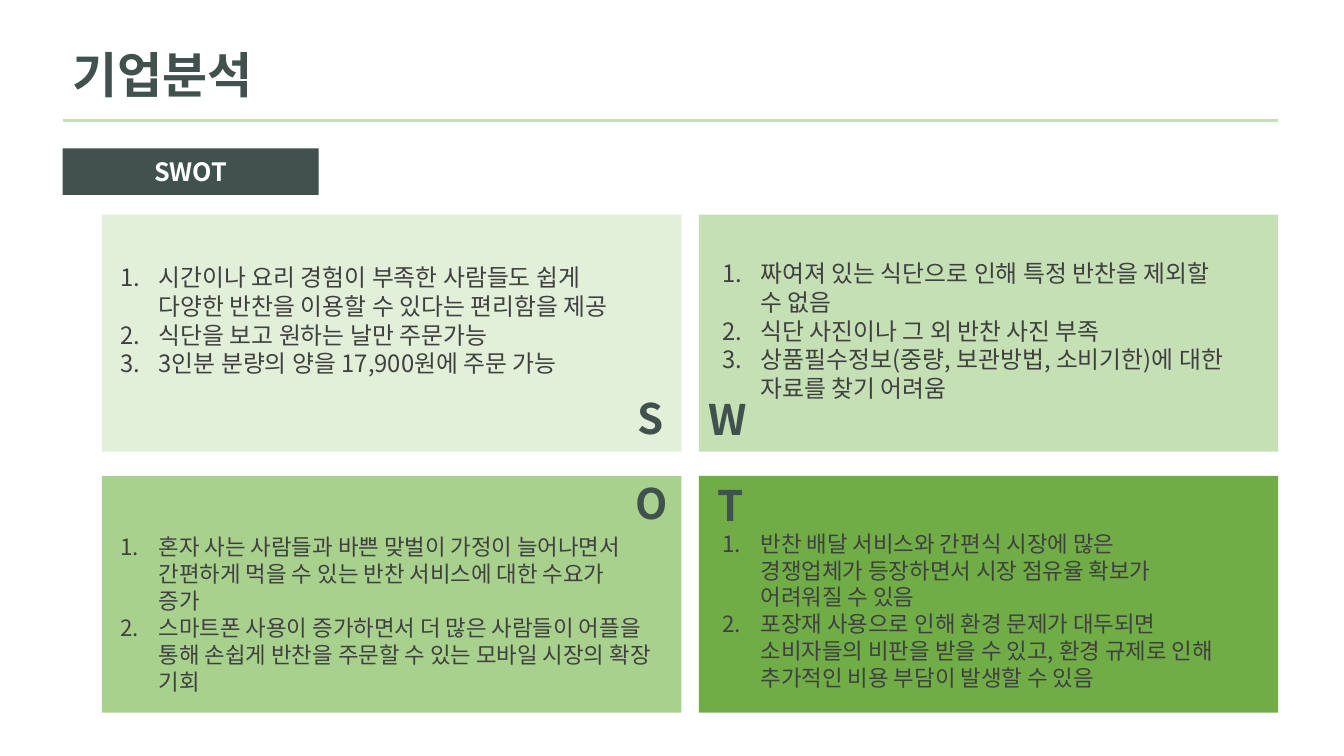
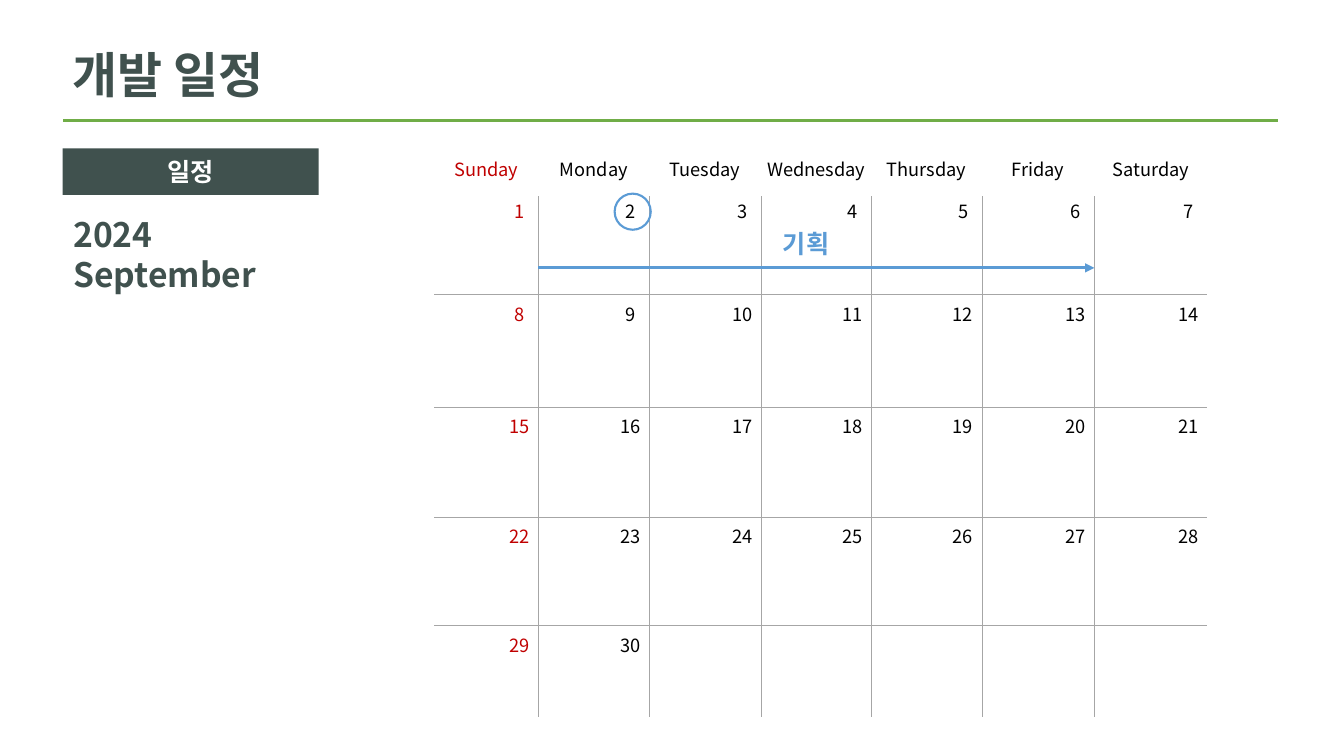
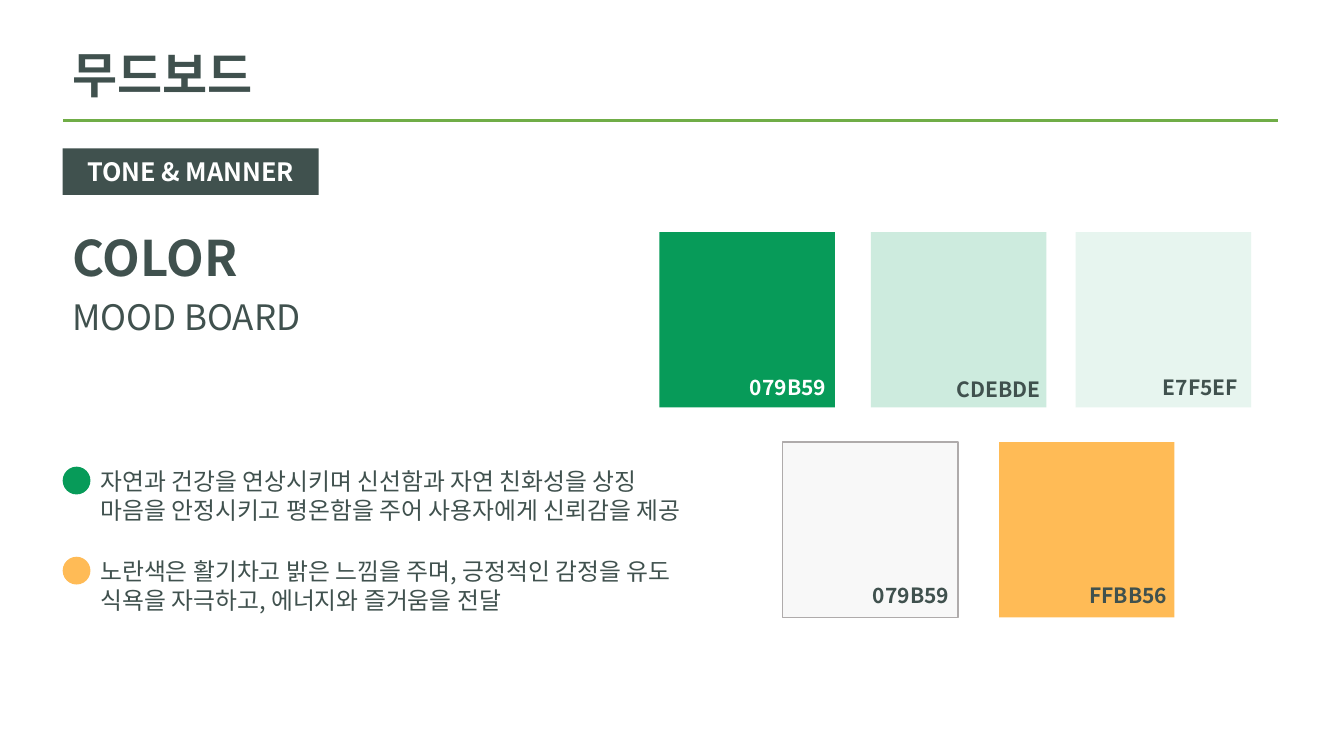
import copy
import dataclasses
import itertools

import lxml.etree
import pptx
import pptx.dml.color
import pptx.enum.shapes
import pptx.enum.text
import pptx.oxml.ns
import pptx.util

Cm = pptx.util.Cm
Pt = pptx.util.Pt
qn = pptx.oxml.ns.qn
Align = pptx.enum.text.PP_ALIGN
Anchor = pptx.enum.text.MSO_ANCHOR
Shape = pptx.enum.shapes.MSO_SHAPE


@dataclasses.dataclass(frozen=True)
class Theme:
    font: str = "Noto Sans CJK KR"
    dark: str = "40514E"
    body: str = "404040"
    white: str = "FFFFFF"
    black: str = "000000"
    sunday: str = "C00000"
    grid: str = "A6A6A6"
    plan: str = "5B9BD5"
    swatch_edge: str = "AFABAB"
    green: str = "70AD47"
    pale_green: str = "C5E0B4"
    mint: str = "079B59"
    amber: str = "FFBB56"
    title_size: float = 35
    letter_size: float = 30
    subtitle_size: float = 25
    month_size: float = 24
    badge_size: float = 18
    text_size: float = 17
    small_text_size: float = 16
    code_size: float = 15
    day_size: float = 13


THEME = Theme()
LEFT_EDGE = 1.57


@dataclasses.dataclass(frozen=True)
class Box:
    """A region in centimetres."""
    left: float
    top: float
    width: float
    height: float

    def inner(self, left, top, width, height):
        return Box(self.left + left, self.top + top, width, height)

    def lengths(self):
        return Cm(self.left), Cm(self.top), Cm(self.width), Cm(self.height)


# Shared helpers

def rgb(color):
    return pptx.dml.color.RGBColor.from_string(color)


def place(shape, box):
    shape.left, shape.top, shape.width, shape.height = box.lengths()


def set_insets(target, left, top, right, bottom):
    target.margin_left, target.margin_top = Cm(left), Cm(top)
    target.margin_right, target.margin_bottom = Cm(right), Cm(bottom)


def set_text(frame, text, size, color, bold=False, align=Align.LEFT):
    """Fill a text frame and format every run and line break."""
    frame.text = text
    frame.word_wrap = True
    for para in frame.paragraphs:
        para.alignment = align
        para.space_before = Pt(0)
        for span in para.runs:
            span.font.name = THEME.font
            span.font.size = Pt(size)
            span.font.bold = bold
            span.font.color.rgb = rgb(color)
            span._r.rPr.set("kern", "0")
            east_asian = lxml.etree.Element(qn("a:ea"), typeface=THEME.font)
            span._r.rPr.find(qn("a:latin")).addnext(east_asian)
        for line_break in para._p.findall(qn("a:br")):
            line_break.append(copy.deepcopy(para.runs[0]._r.rPr))


def set_list(frame, text, size, color, numbered):
    """Fill a body placeholder with numbered or plain paragraphs."""
    frame.auto_size = pptx.enum.text.MSO_AUTO_SIZE.NONE
    frame.vertical_anchor = Anchor.TOP
    set_text(frame, text, size, color)
    hanging = Cm(0.97) if numbered else 0
    for para in frame.paragraphs:
        properties = para._p.get_or_add_pPr()
        properties.set("marL", str(hanging))
        properties.set("indent", str(-hanging))
        if numbered:
            lxml.etree.SubElement(properties, qn("a:buFont"), typeface=THEME.font)
            lxml.etree.SubElement(properties, qn("a:buAutoNum"), type="arabicPeriod")
        else:
            lxml.etree.SubElement(properties, qn("a:buNone"))


def add_label(page, box, text, size, color, bold=False):
    label = page.shapes.add_textbox(*box.lengths())
    set_text(label.text_frame, text, size, color, bold)


def add_figure(page, kind, box, fill=None, line=None, line_width=1):
    figure = page.shapes.add_shape(kind, *box.lengths())
    figure.shadow.inherit = False
    if fill:
        figure.fill.solid()
        figure.fill.fore_color.rgb = rgb(fill)
    else:
        figure.fill.background()
    if line:
        figure.line.color.rgb = rgb(line)
        figure.line.width = Pt(line_width)
    else:
        figure.line.fill.background()
    return figure


def add_line(page, start, end, color, width, arrow=False):
    line = page.shapes.add_connector(
        pptx.enum.shapes.MSO_CONNECTOR.STRAIGHT, *map(Cm, start + end))
    line.line.color.rgb = rgb(color)
    line.line.width = Pt(width)
    if arrow:
        lxml.etree.SubElement(line.line._get_or_add_ln(), qn("a:tailEnd"), type="triangle")
    lxml.etree.SubElement(line._element.spPr, qn("a:effectLst"))


def start_page(deck, layout, title, badge, rule_color=THEME.green):
    """Add a page with its title, rule and section badge."""
    page = deck.slides.add_slide(deck.slide_layouts.get_by_name(layout))
    heading = page.shapes.title
    place(heading, Box(LEFT_EDGE, 1, 15.6, 1.75))
    heading.text_frame.auto_size = pptx.enum.text.MSO_AUTO_SIZE.NONE
    heading.text_frame.vertical_anchor = Anchor.TOP
    set_text(heading.text_frame, title, THEME.title_size, THEME.dark, True)
    add_line(page, (LEFT_EDGE + 0.02, 3.04), (32.2, 3.04), rule_color, 2)
    plate = add_figure(page, Shape.RECTANGLE, Box(LEFT_EDGE + 0.01, 3.74, 6.45, 1.17),
                       THEME.dark)
    plate.text_frame.vertical_anchor = Anchor.MIDDLE
    set_text(plate.text_frame, badge, THEME.badge_size, THEME.white, True, Align.CENTER)
    return page


# SWOT page

@dataclasses.dataclass(frozen=True)
class Quadrant:
    letter: str
    fill: str
    size: float
    insets: tuple
    letter_at: tuple
    items: str


QUADRANTS = [
    Quadrant("S", "E2F0D9", THEME.text_size, (0.46, 1.22, 0.3, 0), (13.25, 4.35),
             "시간이나 요리 경험이 부족한 사람들도 쉽게\v다양한 반찬을 이용할 수 있다는 편리함을 제공\n"
             "식단을 보고 원하는 날만 주문가능\n"
             "3인분 분량의 양을 17,900원에 주문 가능"),
    Quadrant("W", THEME.pale_green, THEME.text_size, (0.59, 1.12, 0.3, 0), (0, 4.37),
             "짜여져 있는 식단으로 인해 특정 반찬을 제외할\v수 없음\n"
             "식단 사진이나 그 외 반찬 사진 부족\n"
             "상품필수정보(중량, 보관방법, 소비기한)에 대한 자료를 찾기 어려움"),
    Quadrant("O", "A9D18E", THEME.small_text_size, (0.46, 1.45, 0.46, 0), (13.2, -0.08),
             "혼자 사는 사람들과 바쁜 맞벌이 가정이 늘어나면서 "
             "간편하게 먹을 수 있는 반찬 서비스에 대한 수요가\v증가\n"
             "스마트폰 사용이 증가하면서 더 많은 사람들이 어플을\v"
             "통해 손쉽게 반찬을 주문할 수 있는 모바일 시장의 확장 기회"),
    Quadrant("T", THEME.green, THEME.small_text_size, (0.59, 1.36, 0, 0), (0.23, -0.03),
             "반찬 배달 서비스와 간편식 시장에 많은\v"
             "경쟁업체가 등장하면서 시장 점유율 확보가\v어려워질 수 있음\n"
             "포장재 사용으로 인해 환경 문제가 대두되면\v"
             "소비자들의 비판을 받을 수 있고, 환경 규제로 인해 "
             "추가적인 비용 부담이 발생할 수 있음"),
]


def fill_quadrant(page, body, box, quadrant):
    place(body, box)
    body.fill.solid()
    body.fill.fore_color.rgb = rgb(quadrant.fill)
    set_insets(body.text_frame, *quadrant.insets)
    set_list(body.text_frame, quadrant.items, quadrant.size, THEME.body, True)
    add_label(page, box.inner(*quadrant.letter_at, 1.32, 1.55),
              quadrant.letter, THEME.letter_size, THEME.dark, True)


def build_swot_page(deck):
    page = start_page(deck, "Comparison", "기업분석", "SWOT", THEME.pale_green)
    area = Box(2.57, 5.41, 29.64, 12.55)
    gap_x, gap_y = 0.44, 0.61
    width, height = (area.width - gap_x) / 2, (area.height - gap_y) / 2
    for index, quadrant in enumerate(QUADRANTS):
        row, column = divmod(index, 2)
        box = area.inner(column * (width + gap_x), row * (height + gap_y), width, height)
        fill_quadrant(page, page.placeholders[index + 1], box, quadrant)


# Schedule page

WEEKDAYS = ["Sunday", "Monday", "Tuesday", "Wednesday", "Thursday", "Friday", "Saturday"]
DAYS_IN_MONTH = 30
COLUMN_WIDTHS = [2.62, 2.79, 2.82, 2.77, 2.79, 2.84, 2.84]
ROW_HEIGHTS = [1.19, 2.46, 2.84, 2.77, 2.74, 2.31]
PLAIN_TABLE_STYLE = "{2D5ABB26-0587-4C30-8999-92F81FD0307C}"


def fill_day_cell(cell, row, column):
    color = THEME.black if column else THEME.sunday
    day = (row - 1) * 7 + column + 1
    cell.fill.background()
    if row == 0:
        set_insets(cell, 0, 0.15, 0, 0)
        set_text(cell.text_frame, WEEKDAYS[column], THEME.day_size, color,
                 align=Align.CENTER)
    elif day <= DAYS_IN_MONTH:
        set_insets(cell, 0, 0.02 if row == 1 else 0.15, 0.34 if day < 10 else 0.22, 0)
        set_text(cell.text_frame, str(day), THEME.day_size, color, align=Align.RIGHT)


def add_calendar_days(page, box):
    table = page.shapes.add_table(
        len(ROW_HEIGHTS), len(COLUMN_WIDTHS), *box.lengths()).table
    table.first_row = table.horz_banding = False
    table._tbl.tblPr.find(qn("a:tableStyleId")).text = PLAIN_TABLE_STYLE
    for column, width in zip(table.columns, COLUMN_WIDTHS):
        column.width = Cm(width)
    for row, height in zip(table.rows, ROW_HEIGHTS):
        row.height = Cm(height)
    for row, column in itertools.product(range(len(ROW_HEIGHTS)), range(len(WEEKDAYS))):
        fill_day_cell(table.cell(row, column), row, column)


def add_calendar_grid(page, box):
    """Draw the lines between weeks and between weekdays."""
    right, bottom = box.left + box.width, box.top + box.height
    header_bottom, *week_ends = itertools.accumulate(ROW_HEIGHTS[:-1], initial=box.top)
    header_bottom, *week_ends = week_ends
    for top in week_ends:
        add_line(page, (box.left, top), (right, top), THEME.grid, 0.25)
    for width in itertools.accumulate(COLUMN_WIDTHS[:-1]):
        left = box.left + width
        add_line(page, (left, header_bottom), (left, bottom), THEME.grid, 0.25)


def add_planning_phase(page, box):
    """Mark the start day and draw the arrow from Monday to Friday."""
    start = box.left + COLUMN_WIDTHS[0]
    end = start + sum(COLUMN_WIDTHS[1:6])
    top = box.top + 2.99
    add_figure(page, Shape.OVAL, box.inner(4.54, 1.12, 0.91, 0.91),
               line=THEME.plan, line_width=1.5)
    add_line(page, (start, top), (end, top), THEME.plan, 2.25, arrow=True)
    add_label(page, box.inner(8.53, 1.88, 2.41, 1.02), "기획",
              THEME.badge_size, THEME.plan, True)


def build_schedule_page(deck):
    page = start_page(deck, "Title Only", "개발 일정", "일정")
    add_label(page, Box(1.6, 5.26, 5.82, 2.31), "2024\nSeptember",
              THEME.month_size, THEME.dark, True)
    calendar = Box(10.95, 3.76, sum(COLUMN_WIDTHS), sum(ROW_HEIGHTS))
    add_calendar_days(page, calendar)
    add_calendar_grid(page, calendar)
    add_planning_phase(page, calendar)


# Mood board page

SWATCH_SIDE = 4.42
# left, top, fill, code, code colour, edge, right and bottom inset
SWATCHES = [
    (0, 0, THEME.mint, "079B59", THEME.white, None, 0.22, 0.2),
    (5.33, 0, "CDEBDE", "CDEBDE", THEME.dark, None, 0.15, 0.15),
    (10.49, 0, "E7F5EF", "E7F5EF", THEME.dark, None, 0.33, 0.2),
    (3.1, 5.29, "F8F8F8", "079B59", THEME.dark, THEME.swatch_edge, 0.22, 0.24),
    (8.56, 5.29, THEME.amber, "FFBB56", THEME.dark, None, 0.18, 0.24),
]
COLOR_NOTES = [
    (THEME.mint, "자연과 건강을 연상시키며 신선함과 자연 친화성을 상징\n"
                 "마음을 안정시키고 평온함을 주어 사용자에게 신뢰감을 제공"),
    (THEME.amber, "노란색은 활기차고 밝은 느낌을 주며, 긍정적인 감정을 유도\n"
                  "식욕을 자극하고, 에너지와 즐거움을 전달"),
]


def add_swatches(page, area):
    for left, top, fill, code, code_color, edge, right_inset, bottom_inset in SWATCHES:
        box = area.inner(left, top, SWATCH_SIDE, SWATCH_SIDE)
        swatch = add_figure(page, Shape.RECTANGLE, box, fill, edge)
        swatch.text_frame.vertical_anchor = Anchor.BOTTOM
        set_insets(swatch.text_frame, 0, 0, right_inset, bottom_inset)
        set_text(swatch.text_frame, code, THEME.code_size, code_color, True, Align.RIGHT)


def add_color_note(page, body, box, color, text):
    place(body, box.inner(0.7, 0, box.width - 0.7, box.height))
    set_list(body.text_frame, text, THEME.text_size, THEME.dark, False)
    add_figure(page, Shape.OVAL, box.inner(0.01, 0.12, 0.7, 0.7), color)


def build_mood_page(deck):
    page = start_page(deck, "Two Content", "무드보드", "TONE & MANNER")
    add_label(page, Box(LEFT_EDGE, 5.61, 6, 1.75), "COLOR",
              THEME.title_size, THEME.dark, True)
    add_label(page, Box(LEFT_EDGE, 7.32, 7.26, 1.32), "MOOD BOARD",
              THEME.subtitle_size, THEME.dark)
    add_swatches(page, Box(16.62, 5.85, 14.91, 9.71))
    for index, (color, text) in enumerate(COLOR_NOTES):
        box = Box(LEFT_EDGE, 11.64 + index * 2.27, 17.8, 1.7)
        add_color_note(page, page.placeholders[index + 1], box, color, text)


def main():
    deck = pptx.Presentation()
    deck.slide_width, deck.slide_height = Cm(33.87), Cm(19.05)
    build_swot_page(deck)
    build_schedule_page(deck)
    build_mood_page(deck)
    deck.save("out.pptx")


if __name__ == "__main__":
    main()
